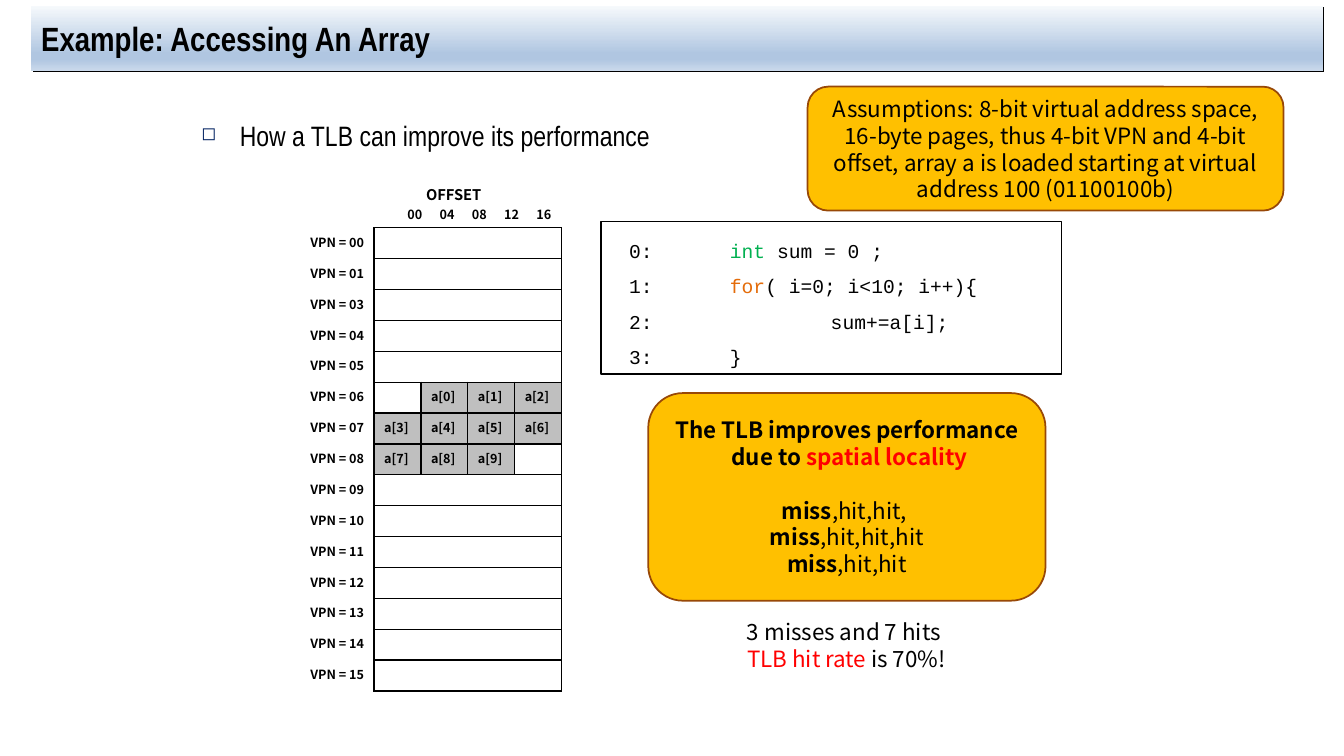
from dataclasses import dataclass

from lxml.etree import SubElement
from pptx import Presentation
from pptx.dml.color import RGBColor
from pptx.enum.shapes import MSO_SHAPE
from pptx.enum.text import MSO_ANCHOR, PP_ALIGN
from pptx.oxml import parse_xml
from pptx.oxml.ns import qn
from pptx.util import Inches, Pt

NS = 'xmlns:a="http://schemas.openxmlformats.org/drawingml/2006/main"'


@dataclass(frozen=True)
class Theme:
    black: str = "000000"
    white: str = "FFFFFF"
    red: str = "FF0000"
    green: str = "00B050"
    orange: str = "E46C0A"
    amber: str = "FFC000"
    brown: str = "984807"
    navy: str = "002060"
    grey: str = "BFBFBF"
    banner: tuple = ((0, "F6F9FC"), (74, "B0C6E1"), (83, "B0C6E1"), (100, "CAD9EB"))
    narrow: str = "Arial Narrow"
    mono: str = "Courier New"
    sans: str = "Noto Sans CJK KR"
    title: int = 24
    body: int = 20
    note: int = 16
    code: int = 14
    header: float = 10.5
    cell: int = 9


T = Theme()


def rgb(color):
    return RGBColor.from_string(color)


def write(tf, paragraphs, font=T.sans, size=T.note, color=T.black, bold=False,
          align=PP_ALIGN.LEFT, spacing=None, anchor=MSO_ANCHOR.MIDDLE):
    """Fill a text frame; a paragraph is a string or a list of (text, overrides)."""
    tf.word_wrap = True
    tf.vertical_anchor = anchor
    for i, runs in enumerate(paragraphs):
        p = tf.paragraphs[0] if i == 0 else tf.add_paragraph()
        p.alignment = align
        p._p.get_or_add_pPr().set("defTabSz", str(Inches(1)))
        if spacing:
            p.line_spacing = spacing
        for text, own in [(runs, {})] if isinstance(runs, str) else runs:
            r = p.add_run()
            r.text = text
            r.font.name = own.get("font", font)
            r.font.size = Pt(own.get("size", size))
            r.font.bold = own.get("bold", bold)
            r.font.color.rgb = rgb(own.get("color", color))


class SlideBuilder:
    """Hold the theme and the current slide, and add each kind of element."""

    def __init__(self, prs, theme):
        self.t = theme
        self.s = prs.slides.add_slide(prs.slide_layouts[6])

    def box(self, at, paragraphs, shape=MSO_SHAPE.RECTANGLE, fill=None, line=None,
            width=1, inset=0.1, **fmt):
        sp = self.s.shapes.add_shape(shape, *map(Inches, at))
        sp.shadow.inherit = False
        if fill:
            sp.fill.solid()
            sp.fill.fore_color.rgb = rgb(fill)
        else:
            sp.fill.background()
        if line:
            sp.line.color.rgb = rgb(line)
            sp.line.width = Pt(width)
        else:
            sp.line.fill.background()
        tf = sp.text_frame
        tf.margin_left = tf.margin_right = Inches(inset)
        write(tf, paragraphs, **fmt)
        return sp

    def banner(self, at, text):
        sp = self.box(at, [text], font=self.t.narrow, size=self.t.title, bold=True)
        stops = "".join(f'<a:gs pos="{pos * 1000}"><a:srgbClr val="{c}"/></a:gs>'
                        for pos, c in self.t.banner)
        props = sp.fill._xPr
        props.replace(props.find(qn("a:noFill")), parse_xml(
            f'<a:gradFill {NS} rotWithShape="1"><a:gsLst>{stops}</a:gsLst>'
            '<a:lin ang="5400000" scaled="0"/></a:gradFill>'))
        props.find(qn("a:effectLst")).append(parse_xml(
            f'<a:outerShdw {NS} blurRad="0" dist="{Pt(1.4)}" dir="2700000" algn="tl" '
            f'rotWithShape="0"><a:srgbClr val="{self.t.black}"/></a:outerShdw>'))

    def bullet(self, at, text):
        tf = self.s.shapes.add_textbox(*map(Inches, at)).text_frame
        pPr = tf.paragraphs[0]._p.get_or_add_pPr()
        pPr.set("marL", str(Inches(0.38)))
        pPr.set("indent", str(-Inches(0.38)))
        SubElement(SubElement(pPr, qn("a:buClr")), qn("a:srgbClr"), val=self.t.navy)
        SubElement(pPr, qn("a:buSzPct"), val="65000")
        SubElement(pPr, qn("a:buChar"), char="◻")
        write(tf, [text], font=self.t.narrow, size=self.t.body, spacing=1.5,
              anchor=MSO_ANCHOR.TOP)

    def note(self, at, paragraphs, **look):
        return self.box(at, paragraphs, shape=MSO_SHAPE.ROUNDED_RECTANGLE, width=1.25,
                        inset=0.12, align=PP_ALIGN.CENTER, **look)

    def cell(self, cell, text="", fill=None, borders=None, **fmt):
        if fill:
            cell.fill.solid()
            cell.fill.fore_color.rgb = rgb(fill)
        else:
            cell.fill.background()
        tcPr = cell._tc.get_or_add_tcPr()
        for i, color in enumerate(borders or [None] * 4):
            paint = f'<a:solidFill><a:srgbClr val="{color}"/></a:solidFill>'
            tag = "ln" + "LRTB"[i]
            tcPr.insert(i, parse_xml(f'<a:{tag} {NS} w="{Pt(1)}">'
                                     f'{paint if color else "<a:noFill/>"}</a:{tag}>'))
        if text:
            write(cell.text_frame, [text], size=self.t.cell, bold=True, **fmt)
        else:
            SubElement(cell.text_frame.paragraphs[0]._p, qn("a:endParaRPr"),
                       sz=str(self.t.cell * 100))

    def page_table(self, at, label_width, header_height, offsets, pages, elements):
        t = self.t
        frame = self.s.shapes.add_table(len(pages) + 1, 5, *map(Inches, at))
        table = frame.table
        table.first_row = table.horz_banding = False
        for i, column in enumerate(table.columns):
            column.width = Inches((at[2] - label_width) / 4 if i else label_width)
        for i, row in enumerate(table.rows):
            row.height = Inches((at[3] - header_height) / len(pages) if i else header_height)
        for col in range(1, 5):
            self.cell(table.cell(0, col))
        head = table.cell(0, 0)
        self.cell(head, "OFFSET")
        head.merge(table.cell(0, 4))
        head.text_frame.clear()
        write(head.text_frame, [[("OFFSET", {"size": t.header})], "\t" + "\t".join(offsets)],
              size=t.cell, bold=True, anchor=MSO_ANCHOR.TOP)
        title, ticks = head.text_frame.paragraphs
        title.alignment = PP_ALIGN.CENTER
        title._p.get_or_add_pPr().set("marL", str(Inches(0.54)))
        tabs = SubElement(ticks._p.get_or_add_pPr(), qn("a:tabLst"))
        for i in range(len(offsets)):
            SubElement(tabs, qn("a:tab"), pos=str(Inches(1.05 + 0.32 * i)), algn="l")
        for row, page in enumerate(pages, 1):
            self.cell(table.cell(row, 0), f"VPN = {page:02}", align=PP_ALIGN.RIGHT,
                      anchor=MSO_ANCHOR.TOP, borders=[t.white, t.black, t.white, t.white])
            for col in range(1, 5):
                text = elements.get((page, col), "")
                self.cell(table.cell(row, col), text, fill=t.grey if text else t.white,
                          borders=[t.black] * 4)
            if not any((page, col) in elements for col in range(1, 5)):
                table.cell(row, 1).merge(table.cell(row, 4))


def main():
    prs = Presentation()
    prs.slide_width, prs.slide_height = Inches(13.33), Inches(7.5)
    b = SlideBuilder(prs, T)
    b.bullet((1.9, 0.96, 9.61, 6.02), "How a TLB can improve its performance")
    b.banner((0.31, 0.06, 12.81, 0.64), "Example: Accessing An Array")

    slots = [(6 + (i + 1) // 4, (i + 1) % 4 + 1) for i in range(10)]
    b.page_table((2.89, 1.77, 2.68, 5.09), 0.82, 0.49, ["00", "04", "08", "12", "16"],
                 [0, 1, *range(3, 16)], {slot: f"a[{i}]" for i, slot in enumerate(slots)})

    b.box((5.96, 2.2, 4.57, 1.51), [
        [("0:\t", {}), ("int ", {"color": T.green}), ("sum = 0 ;", {})],
        [("1:\t", {}), ("for", {"color": T.orange}), ("( i=0; i<10; i++){", {})],
        "2:\t\tsum+=a[i];",
        "3:\t}",
    ], fill=T.white, line=T.black, inset=0.28, font=T.mono, size=T.code, spacing=1.5)

    red, strong = {"color": T.red}, {"bold": True}
    b.note((6.94, 6.06, 2.91, 0.68), ["3 misses and 7 hits ",
                                      [("TLB hit rate ", red), ("is 70%!", {})]])
    locality = b.note((6.43, 3.9, 3.94, 2.06), [
        [("The TLB improves performance", strong)],
        [(" due to ", strong), ("spatial locality", {**red, **strong})],
        *([("miss", strong), (hits, {})] for hits in (",hit,hit, ", ",hit,hit,hit", ",hit,hit")),
    ], fill=T.amber, line=T.brown)
    locality.text_frame.paragraphs[2].space_before = Pt(19)
    b.note((8.01, 0.86, 4.72, 1.23), [
        "Assumptions: 8-bit virtual address space, 16-byte pages, thus 4-bit VPN and 4-bit "
        "offset, array a is loaded starting at virtual address 100 (01100100b)",
    ], fill=T.amber, line=T.brown)
    prs.save("out.pptx")


if __name__ == "__main__":
    main()
